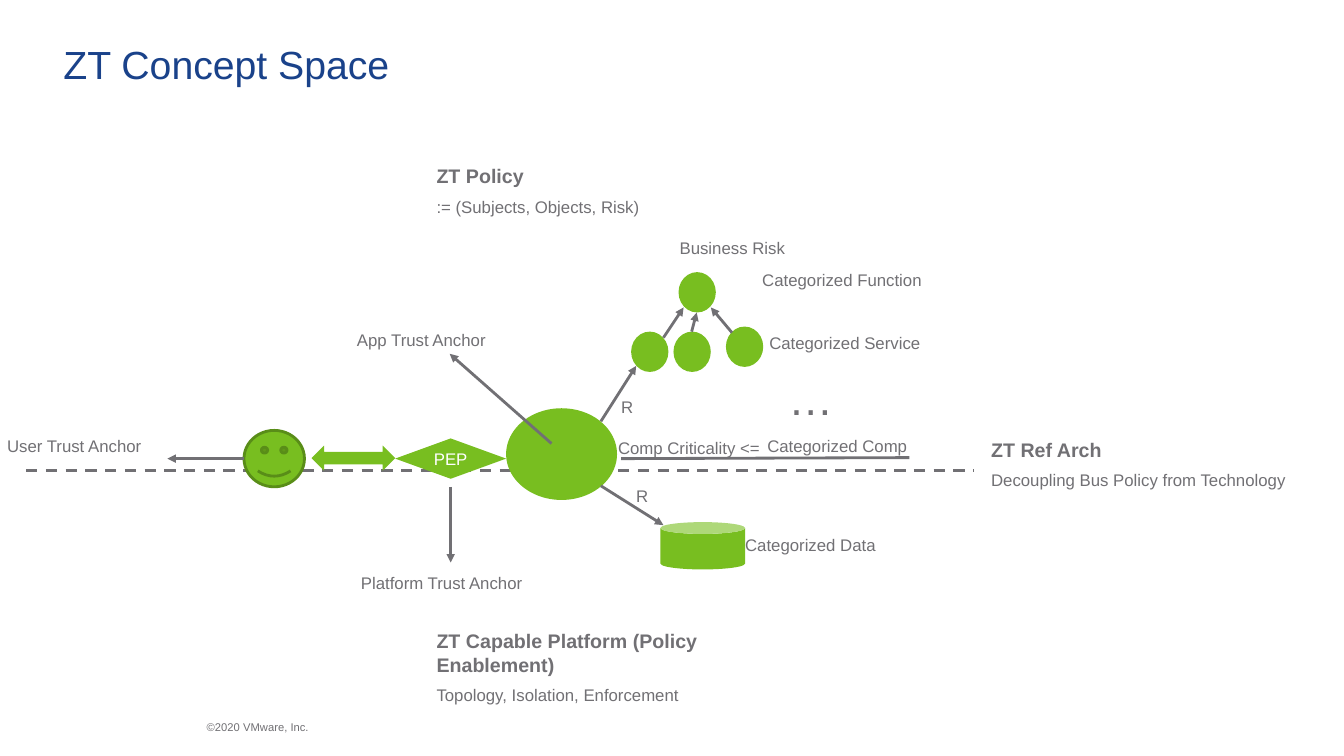
from dataclasses import dataclass
from typing import Optional

from lxml.etree import SubElement
from pptx import Presentation
from pptx.dml.color import RGBColor
from pptx.enum.dml import MSO_LINE
from pptx.enum.shapes import MSO_CONNECTOR, MSO_SHAPE
from pptx.enum.text import MSO_ANCHOR, PP_ALIGN
from pptx.oxml.ns import qn
from pptx.util import Inches, Pt

GRAY = RGBColor(0x71, 0x70, 0x74)
GREEN = RGBColor(0x78, 0xBE, 0x20)
DARK_GREEN = RGBColor(0x59, 0x8D, 0x18)
BLUE = RGBColor(0x1A, 0x42, 0x8A)
WHITE = RGBColor(0xFF, 0xFF, 0xFF)
FONT = "Arial"
CIRCLE = (0.37, 0.4)


@dataclass
class Node:
    kind: MSO_SHAPE
    left: float
    top: float
    width: float
    height: float
    text: str = ""
    outline: Optional[RGBColor] = None


@dataclass
class Link:
    start: tuple[float, float]
    end: tuple[float, float]
    arrow: bool = True
    dashed: bool = False


@dataclass
class Label:
    text: str
    left: float
    top: float
    width: float
    height: float = 0.2
    size: int = 12
    color: RGBColor = GRAY
    detail: str = ""
    anchor: MSO_ANCHOR = MSO_ANCHOR.TOP
    line_spacing: float = 1.0


AXIS = Link((0.26, 4.67), (9.66, 4.67), arrow=False, dashed=True)

NODES = [
    Node(MSO_SHAPE.OVAL, 5.02, 4.05, 1.1, 0.91),
    Node(MSO_SHAPE.LEFT_RIGHT_ARROW, 3.09, 4.42, 0.83, 0.25),
    Node(MSO_SHAPE.FLOWCHART_DECISION, 3.92, 4.35, 1.1, 0.4, "PEP"),
    Node(MSO_SHAPE.OVAL, 6.73, 2.7, *CIRCLE),
    Node(MSO_SHAPE.OVAL, 6.26, 3.29, *CIRCLE),
    Node(MSO_SHAPE.OVAL, 6.68, 3.29, *CIRCLE),
    Node(MSO_SHAPE.OVAL, 7.2, 3.24, *CIRCLE),
    Node(MSO_SHAPE.SMILEY_FACE, 2.42, 4.27, 0.6, 0.56, outline=DARK_GREEN),
    Node(MSO_SHAPE.CAN, 6.55, 5.18, 0.84, 0.47),
]

LINKS = [
    Link((5.96, 4.18), (6.31, 3.63)),
    Link((6.58, 3.35), (6.78, 3.05)),
    Link((6.86, 3.29), (6.91, 3.1)),
    Link((7.26, 3.3), (7.05, 3.05)),
    Link((6.16, 4.55), (9.02, 4.54), arrow=False),
    Link((4.47, 4.83), (4.47, 5.58)),
    Link((2.42, 4.55), (1.66, 4.55)),
    Link((5.47, 4.4), (4.46, 3.51)),
    Link((5.96, 4.82), (6.58, 5.21)),
]

LABELS = [
    # Title and footer
    Label("ZT Concept Space", 0.63, 0.45, 12.03, 0.42, 28, BLUE,
          anchor=MSO_ANCHOR.BOTTOM, line_spacing=0.9),
    Label("©2020 VMware, Inc.", 2.05, 7.12, 1.89, size=8,
          anchor=MSO_ANCHOR.MIDDLE, line_spacing=0.9),
    # Headed blocks
    Label("ZT Policy", 4.33, 1.63, 2.14, 0.52, 14,
          detail=":= (Subjects, Objects, Risk)"),
    Label("ZT Capable Platform (Policy Enablement)", 4.33, 6.24, 3.76, 0.52, 14,
          detail="Topology, Isolation, Enforcement"),
    Label("ZT Ref Arch", 9.83, 4.34, 3.19, 0.52, 14,
          detail="Decoupling Bus Policy from Technology"),
    # Diagram labels
    Label("Business Risk", 6.74, 2.36, 1.08),
    Label("Categorized Function", 7.56, 2.68, 1.72),
    Label("Categorized Service", 7.63, 3.3, 1.6),
    Label("…", 7.82, 3.68, 0.32, 0.54, 32),
    Label("Categorized Comp", 7.61, 4.32, 1.49),
    Label("Comp Criticality <=", 6.13, 4.34, 1.53),
    Label("Categorized Data", 7.39, 5.31, 1.39),
    Label("App Trust Anchor", 3.54, 3.27, 1.42),
    Label("User Trust Anchor", 0.07, 4.32, 1.46),
    Label("Platform Trust Anchor", 3.58, 5.68, 1.77),
    Label("R", 6.16, 3.94, 0.05),
    Label("R", 6.31, 4.82, 0.05),
]


def format_para(para, size: int, color: RGBColor, bold: bool = False) -> None:
    para.space_after = Pt(6)
    for span in para.runs:
        span.font.name = FONT
        span.font.size = Pt(size)
        span.font.bold = bold
        span.font.color.rgb = color


def draw_node(page, node: Node) -> None:
    shape = page.shapes.add_shape(node.kind, Inches(node.left), Inches(node.top),
                                  Inches(node.width), Inches(node.height))
    shape.shadow.inherit = False
    shape.fill.solid()
    shape.fill.fore_color.rgb = GREEN
    if node.outline is None:
        shape.line.fill.background()
    else:
        shape.line.color.rgb = node.outline
        shape.line.width = Pt(2)
    if node.text:
        frame = shape.text_frame
        frame.text = node.text
        frame.vertical_anchor = MSO_ANCHOR.MIDDLE
        frame.paragraphs[0].alignment = PP_ALIGN.CENTER
        format_para(frame.paragraphs[0], 12, WHITE)


def draw_link(page, link: Link) -> None:
    ends = [Inches(value) for value in link.start + link.end]
    connector = page.shapes.add_connector(MSO_CONNECTOR.STRAIGHT, *ends)
    connector.line.color.rgb = GRAY
    connector.line.width = Pt(2)
    if link.dashed:
        connector.line.dash_style = MSO_LINE.DASH
    if link.arrow:
        SubElement(connector.line._get_or_add_ln(), qn("a:tailEnd"), type="triangle")
    SubElement(connector._element.spPr, qn("a:effectLst"))


def draw_label(page, label: Label) -> None:
    box = page.shapes.add_textbox(Inches(label.left), Inches(label.top),
                                  Inches(label.width), Inches(label.height))
    frame = box.text_frame
    frame.word_wrap = True
    frame.margin_left = frame.margin_right = 0
    frame.margin_top = frame.margin_bottom = 0
    frame.vertical_anchor = label.anchor
    frame.text = label.text
    para = frame.paragraphs[0]
    para.line_spacing = label.line_spacing
    format_para(para, label.size, label.color, bold=bool(label.detail))
    if label.detail:
        para = frame.add_paragraph()
        para.text = label.detail
        format_para(para, 12, label.color)


def main() -> None:
    deck = Presentation()
    deck.slide_width, deck.slide_height = Inches(13.33), Inches(7.5)
    page = deck.slides.add_slide(deck.slide_layouts[6])

    # The dashed axis lies behind the nodes, the arrows in front
    draw_link(page, AXIS)
    for node in NODES:
        draw_node(page, node)
    for link in LINKS:
        draw_link(page, link)
    for label in LABELS:
        draw_label(page, label)

    deck.save("out.pptx")


if __name__ == "__main__":
    main()
